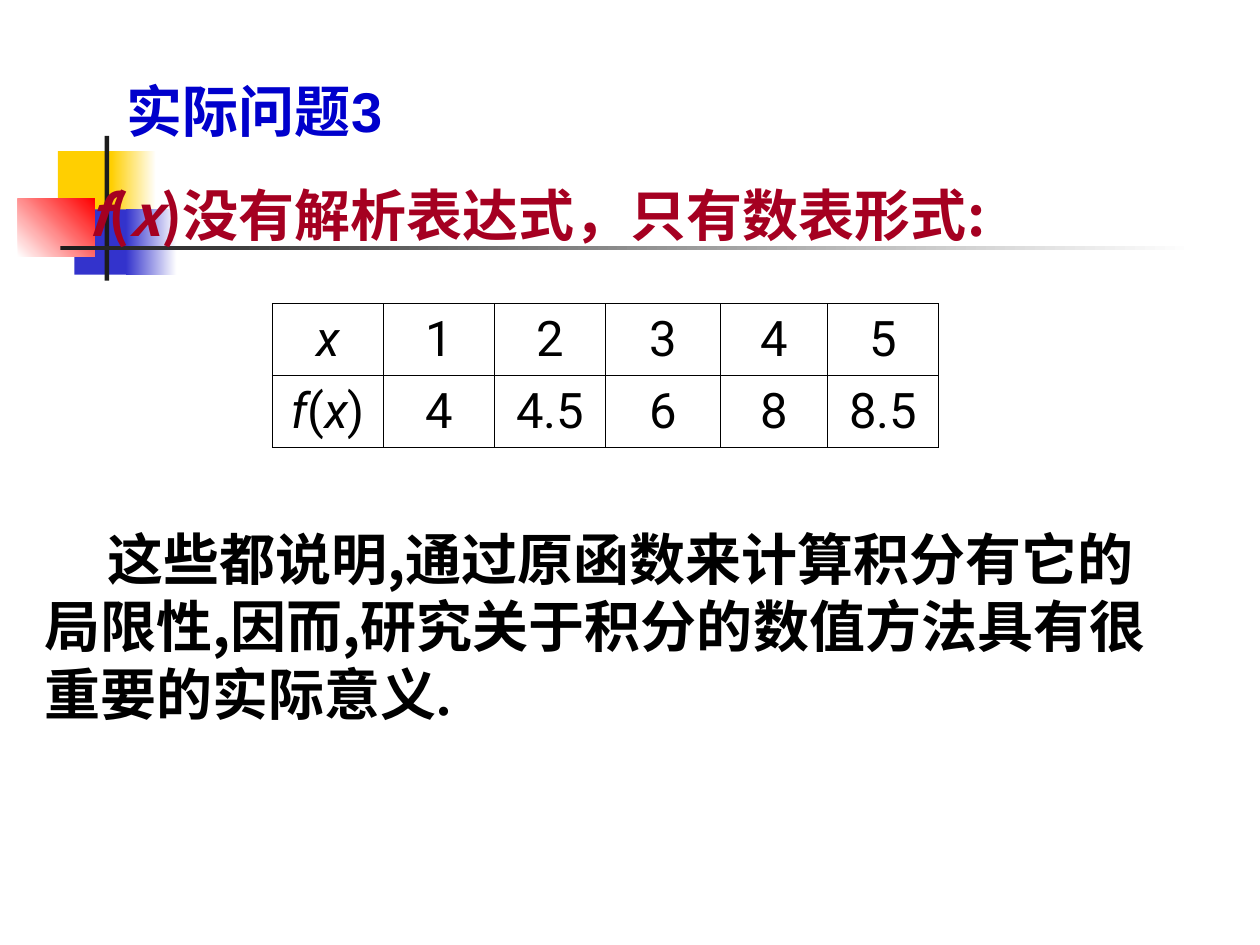
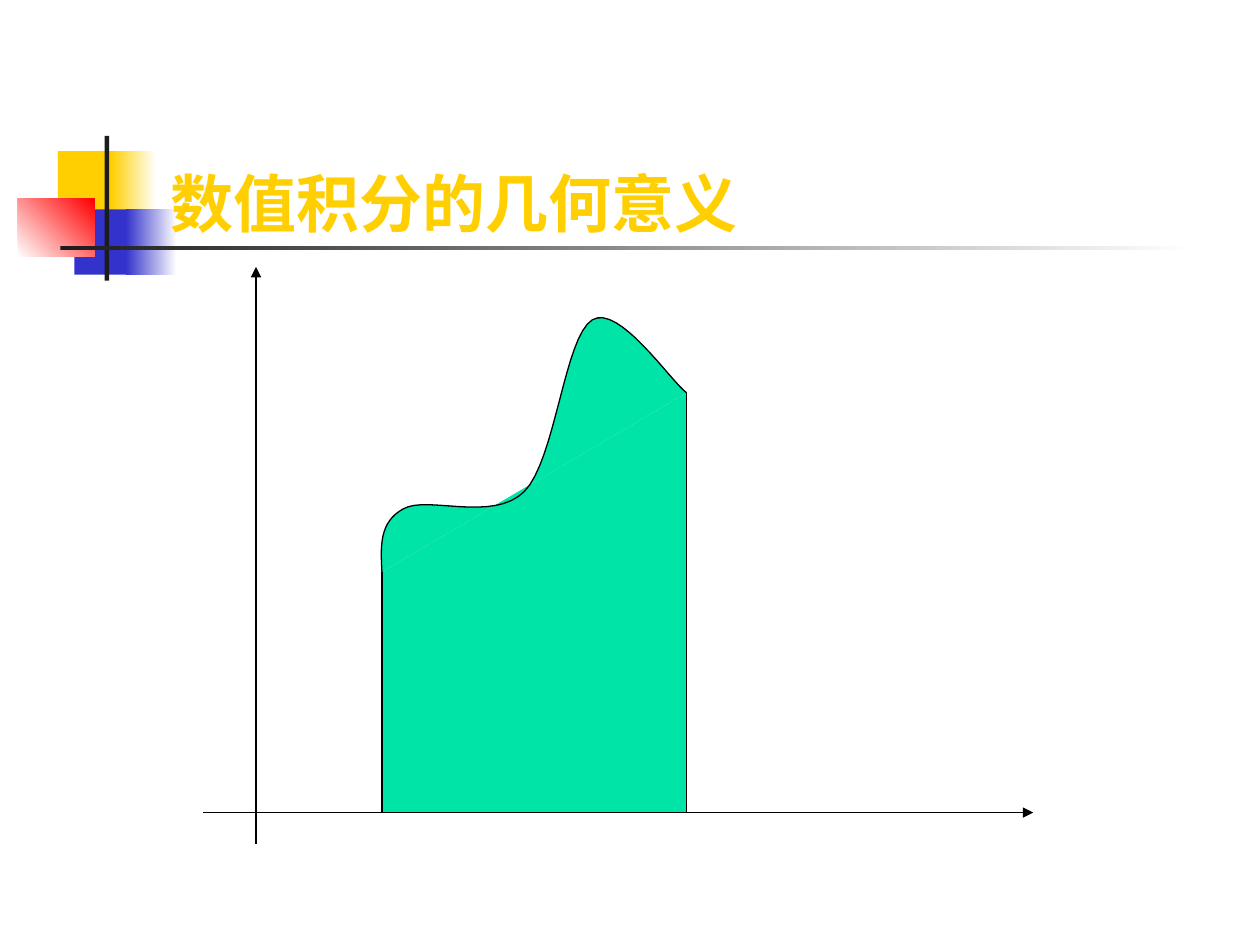
from lxml import etree
from pptx import Presentation
from pptx import util as u
from pptx.dml.color import RGBColor
from pptx.enum import shapes, text
from pptx.oxml import ns

Cm, Pt = u.Cm, u.Pt

BLACK = RGBColor(0x00, 0x00, 0x00)
WHITE = RGBColor(0xFF, 0xFF, 0xFF)
DARK = RGBColor(0x1C, 0x1C, 0x1C)
GOLD = RGBColor(0xFF, 0xCF, 0x01)
INDIGO = RGBColor(0x33, 0x33, 0xCC)
RED = RGBColor(0xFF, 0x00, 0x00)
BLUE = RGBColor(0x00, 0x00, 0xCC)
WINE = RGBColor(0xA5, 0x00, 0x21)
GREEN = RGBColor(0x00, 0xE4, 0xA8)

HAN = "Noto Sans CJK SC"
TITLE = dict(name="Arial", bold=True)
LEAD = dict(name=HAN, size=Pt(32), bold=True, color=WINE)
BODY = dict(LEAD, color=BLACK)
CELL = dict(name="Roboto", size=Pt(28), color=BLACK)
MID, LOW, TOP = (text.MSO_ANCHOR.MIDDLE, text.MSO_ANCHOR.BOTTOM,
                 text.MSO_ANCHOR.TOP)

# Shared corner ornament: left, top, width, height, colours, angle
DECOR = [
    (1.17, 3.05, 1.22, 1.32, [GOLD], 0),
    (2.24, 3.05, 0.91, 1.32, [GOLD, WHITE], 0),
    (1.5, 4.22, 1.17, 1.32, [INDIGO], 0),
    (2.54, 4.22, 1.02, 1.32, [INDIGO, WHITE], 0),
    (0.36, 4.01, 1.55, 1.17, [WHITE, RED], 45),
    (2.11, 2.74, 0.09, 2.92, [DARK], 0),
    (1.22, 4.95, 22.86, 0.09, [DARK, WHITE], 0),
]

# Function table; letters are set in italics
HEADS = ["x", "1", "2", "3", "4", "5"]
VALUES = ["f(x)", "4", "4.5", "6", "8", "8.5"]
WIDTHS = [2.24, 2.24, 2.24, 2.31, 2.16, 2.24]

# Area under the curve
LEFT, RIGHT, BASE = 7.7, 13.84, 16.38
START, END = (LEFT, 11.53), (RIGHT, 7.92)
CURVE = [
    [(7.67, 11), (7.65, 10.52), (8.13, 10.26)],
    [(8.61, 9.98), (9.93, 10.54), (10.57, 9.91)],
    [(11.2, 9.27), (11.38, 6.78), (11.94, 6.45)],
    [(12.47, 6.12), (13.51, 7.67), END],
]


def node(parent, tag, **attrs):
    return etree.SubElement(parent, ns.qn(tag), attrs)


def add_run(para, words, form):
    run = para.add_run()
    run.text = words
    for key, value in form.items():
        if key == "color":
            run.font.color.rgb = value
        else:
            setattr(run.font, key, value)
    node(run._r.get_or_add_rPr(), "a:ea", typeface=HAN)


def add_math(para, words, form):
    """Write a formula with its letters in italics."""
    for sign in words:
        add_run(para, sign, dict(form, italic=sign.isalpha()))


def add_box(slide, left, top, width, height, anchor=TOP):
    box = slide.shapes.add_textbox(Cm(left), Cm(top), Cm(width), Cm(height))
    frame = box.text_frame
    frame.word_wrap = True
    frame.vertical_anchor = anchor
    return frame


def add_title(slide, words, place, anchor, **form):
    frame = add_box(slide, *place, anchor)
    add_run(frame.paragraphs[0], words, dict(TITLE, **form))


def add_decor(slide):
    for left, top, width, height, tints, angle in DECOR:
        block = slide.shapes.add_shape(
            shapes.MSO_SHAPE.RECTANGLE,
            Cm(left), Cm(top), Cm(width), Cm(height))
        block.shadow.inherit = False
        block.line.fill.background()
        if len(tints) == 1:
            block.fill.solid()
            block.fill.fore_color.rgb = tints[0]
            continue
        block.fill.gradient()
        block.fill.gradient_angle = angle
        for stop, tint, spot in zip(block.fill.gradient_stops, tints, (0, 1)):
            stop.color.rgb = tint
            stop.position = spot


def add_edges(cell):
    props = cell._tc.get_or_add_tcPr()
    for side in ("a:lnL", "a:lnR", "a:lnT", "a:lnB"):
        edge = node(props, side, w=str(Pt(0.45)))
        node(node(edge, "a:solidFill"), "a:srgbClr", val=str(BLACK))


def add_grid(slide, rows, left, top, tall):
    frame = slide.shapes.add_table(
        len(rows), len(WIDTHS), Cm(left), Cm(top),
        Cm(sum(WIDTHS)), Cm(tall * len(rows)))
    table = frame.table
    table.first_row = table.horz_banding = False
    for col, width in zip(table.columns, WIDTHS):
        col.width = Cm(width)
    for r, row in enumerate(rows):
        table.rows[r].height = Cm(tall)
        for c, words in enumerate(row):
            cell = table.cell(r, c)
            cell.vertical_anchor = MID
            para = cell.text_frame.paragraphs[0]
            para.alignment = text.PP_ALIGN.CENTER
            if words[-1].isdigit():
                add_run(para, words, CELL)
            else:
                add_math(para, words, CELL)
            add_edges(cell)
            cell.fill.background()


def add_axis(slide, x1, y1, x2, y2):
    axis = slide.shapes.add_connector(
        shapes.MSO_CONNECTOR.STRAIGHT, Cm(x1), Cm(y1), Cm(x2), Cm(y2))
    axis.line.color.rgb = BLACK
    axis.line.width = Pt(0.75)
    node(axis.line._get_or_add_ln(), "a:tailEnd", type="triangle")
    node(axis._element.spPr, "a:effectLst")


def add_area(slide, dots):
    dots = [(Cm(x), Cm(y)) for x, y in dots]
    pen = slide.shapes.build_freeform(*dots[0])
    pen.add_line_segments(dots[1:], close=False)
    area = pen.convert_to_shape()
    area.shadow.inherit = False
    area.fill.solid()
    area.fill.fore_color.rgb = GREEN
    area.line.color.rgb = BLACK
    area.line.width = Pt(0.75)


def trace(start, parts, steps=16):
    """Points along a chain of cubic curves."""
    dots = [start]
    for part in parts:
        knots = [dots[-1], *part]
        for i in range(1, steps + 1):
            t = i / steps
            rates = ((1 - t) ** 3, 3 * t * (1 - t) ** 2,
                     3 * t * t * (1 - t), t ** 3)
            dots.append(tuple(sum(k * v for k, v in zip(rates, axis))
                              for axis in zip(*knots)))
    return dots


def add_problem(slide):
    add_title(slide, "实际问题3", (2.31, 1.32, 21.59, 1.8), MID,
              size=Pt(32), color=BLUE)

    # Lead line
    para = add_box(slide, 1.52, 3.5, 21.5, 1.6).paragraphs[0]
    para.line_spacing = Pt(38.6)
    add_math(para, "f(x)", LEAD)
    add_run(para, "没有解析表达式，只有数表形式:", LEAD)

    add_grid(slide, [HEADS, VALUES], 5.49, 6.12, 1.45)

    # Conclusion
    frame = add_box(slide, 0.64, 10.44, 24.54, 4.32)
    lines = ["这些都说明,通过原函数来计算积分有它的",
             "局限性,因而,研究关于积分的数值方法具有很",
             "重要的实际意义"]
    for i, words in enumerate(lines):
        para = frame.add_paragraph() if i else frame.paragraphs[0]
        para.line_spacing = Pt(38.6)
        if i == 0:
            para._p.get_or_add_pPr().set("indent", str(Cm(1.27)))
        add_run(para, words, BODY)
    add_run(para, ".", dict(BODY, name="Times New Roman"))


def add_meaning(slide):
    add_title(slide, "数值积分的几何意义", (3.18, 2.85, 21.64, 2.11), LOW,
              size=Pt(36), color=GOLD)
    add_axis(slide, 5.16, 17.02, 5.16, 5.38)
    add_axis(slide, 4.09, BASE, 20.83, BASE)
    add_area(slide, [START, (LEFT, BASE), (RIGHT, BASE), END])
    add_area(slide, trace(START, CURVE))


def main():
    deck = Presentation()
    deck.slide_width, deck.slide_height = Cm(25.4), Cm(19.05)
    for fill in (add_problem, add_meaning):
        slide = deck.slides.add_slide(deck.slide_layouts[6])
        add_decor(slide)
        fill(slide)
    deck.save("out.pptx")


if __name__ == "__main__":
    main()
